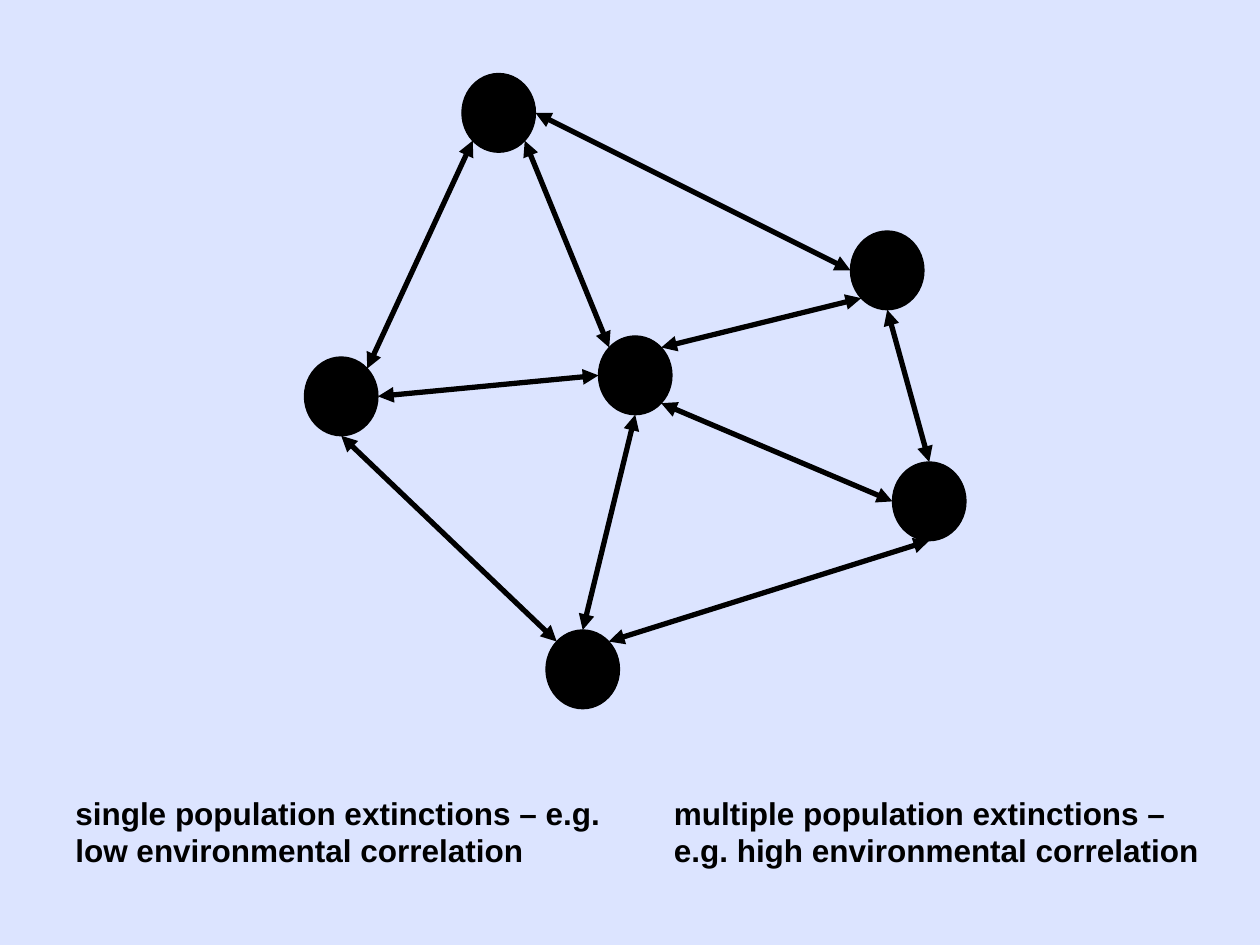
from dataclasses import dataclass
from math import cos, radians, sin

from lxml import etree
from pptx import Presentation
from pptx import util as u
from pptx.dml.color import RGBColor
from pptx.enum import shapes, text
from pptx.oxml import ns

PX = 7620  # EMU per px, 120 px to the inch
BACKGROUND = RGBColor(0xDC, 0xE4, 0xFF)
BLACK = RGBColor(0, 0, 0)
NODE_WIDTH, NODE_HEIGHT = 70, 75

# Directions in degrees, clockwise from the right
RIGHT, BOTTOM_RIGHT, BOTTOM, BOTTOM_LEFT = 0, 45, 90, 135
LEFT, TOP_LEFT, TOP, TOP_RIGHT = 180, 225, 270, 315


@dataclass(frozen=True)
class Population:
    left: int
    top: int

    def rim(self, angle: int) -> tuple[int, int]:
        """Point on the circle's edge in the given direction."""
        x = self.left + NODE_WIDTH / 2 * (1 + cos(radians(angle)))
        y = self.top + NODE_HEIGHT / 2 * (1 + sin(radians(angle)))
        return round(x * PX), round(y * PX)


@dataclass(frozen=True)
class Migration:
    start: Population
    start_angle: int
    end: Population
    end_angle: int


@dataclass(frozen=True)
class Caption:
    left: int
    wording: str


EAST = Population(850, 440)
NORTH = Population(440, 70)
NORTHEAST = Population(810, 220)
WEST = Population(290, 340)
CENTER = Population(570, 320)
SOUTH = Population(520, 600)
POPULATIONS = [EAST, NORTH, NORTHEAST, WEST, CENTER, SOUTH]

MIGRATIONS = [
    Migration(CENTER, BOTTOM, SOUTH, TOP),
    Migration(EAST, BOTTOM, SOUTH, TOP_RIGHT),
    Migration(NORTHEAST, BOTTOM, EAST, TOP),
    Migration(CENTER, BOTTOM_RIGHT, EAST, LEFT),
    Migration(WEST, BOTTOM, SOUTH, TOP_LEFT),
    Migration(WEST, RIGHT, CENTER, LEFT),
    Migration(NORTH, BOTTOM_RIGHT, CENTER, TOP_LEFT),
    Migration(NORTHEAST, BOTTOM_LEFT, CENTER, TOP_RIGHT),
    Migration(NORTHEAST, LEFT, NORTH, RIGHT),
    Migration(NORTH, BOTTOM_LEFT, WEST, TOP_RIGHT),
]

CAPTIONS = [
    Caption(60, "single population extinctions – e.g. low environmental correlation"),
    Caption(630, "multiple population extinctions – e.g. high environmental correlation"),
]


def draw_migration(slide, migration: Migration) -> None:
    connector = slide.shapes.add_connector(
        shapes.MSO_CONNECTOR.STRAIGHT,
        *migration.start.rim(migration.start_angle),
        *migration.end.rim(migration.end_angle),
    )
    connector.line.color.rgb = BLACK
    connector.line.width = u.Pt(3)
    line = connector.line._get_or_add_ln()
    for tag in ("a:headEnd", "a:tailEnd"):
        etree.SubElement(line, ns.qn(tag), type="triangle")
    etree.SubElement(connector._element.spPr, ns.qn("a:effectLst"))


def draw_population(slide, population: Population) -> None:
    circle = slide.shapes.add_shape(
        shapes.MSO_SHAPE.OVAL, population.left * PX, population.top * PX,
        NODE_WIDTH * PX, NODE_HEIGHT * PX,
    )
    circle.shadow.inherit = False
    circle.fill.solid()
    circle.fill.fore_color.rgb = BLACK
    circle.line.color.rgb = BLACK
    circle.line.width = u.Pt(0.75)


def draw_caption(slide, caption: Caption) -> None:
    box = slide.shapes.add_textbox(caption.left * PX, 750 * PX, 530 * PX, 84 * PX)
    frame = box.text_frame
    frame.word_wrap = True
    frame.auto_size = text.MSO_AUTO_SIZE.SHAPE_TO_FIT_TEXT
    paragraph = frame.paragraphs[0]
    paragraph.text = caption.wording
    font = paragraph.font
    font.name, font.size, font.bold = "Arial", u.Pt(18), True
    font.color.rgb = BLACK


def main() -> None:
    presentation = Presentation()
    presentation.slide_width, presentation.slide_height = 1200 * PX, 900 * PX
    slide = presentation.slides.add_slide(presentation.slide_layouts[6])
    slide.background.fill.solid()
    slide.background.fill.fore_color.rgb = BACKGROUND

    # Arrows lie behind the circles
    for migration in MIGRATIONS:
        draw_migration(slide, migration)
    for population in POPULATIONS:
        draw_population(slide, population)

    # Captions below the network
    for caption in CAPTIONS:
        draw_caption(slide, caption)

    presentation.save("out.pptx")


if __name__ == "__main__":
    main()
